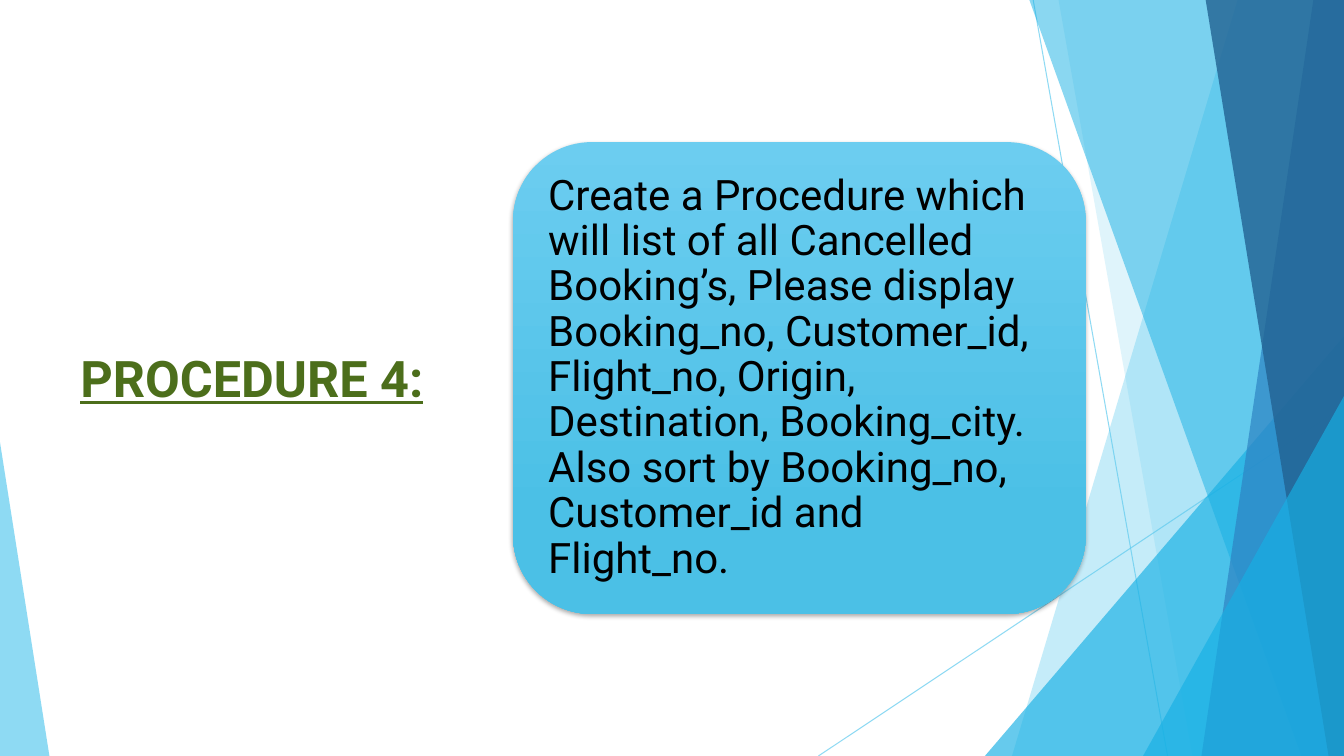
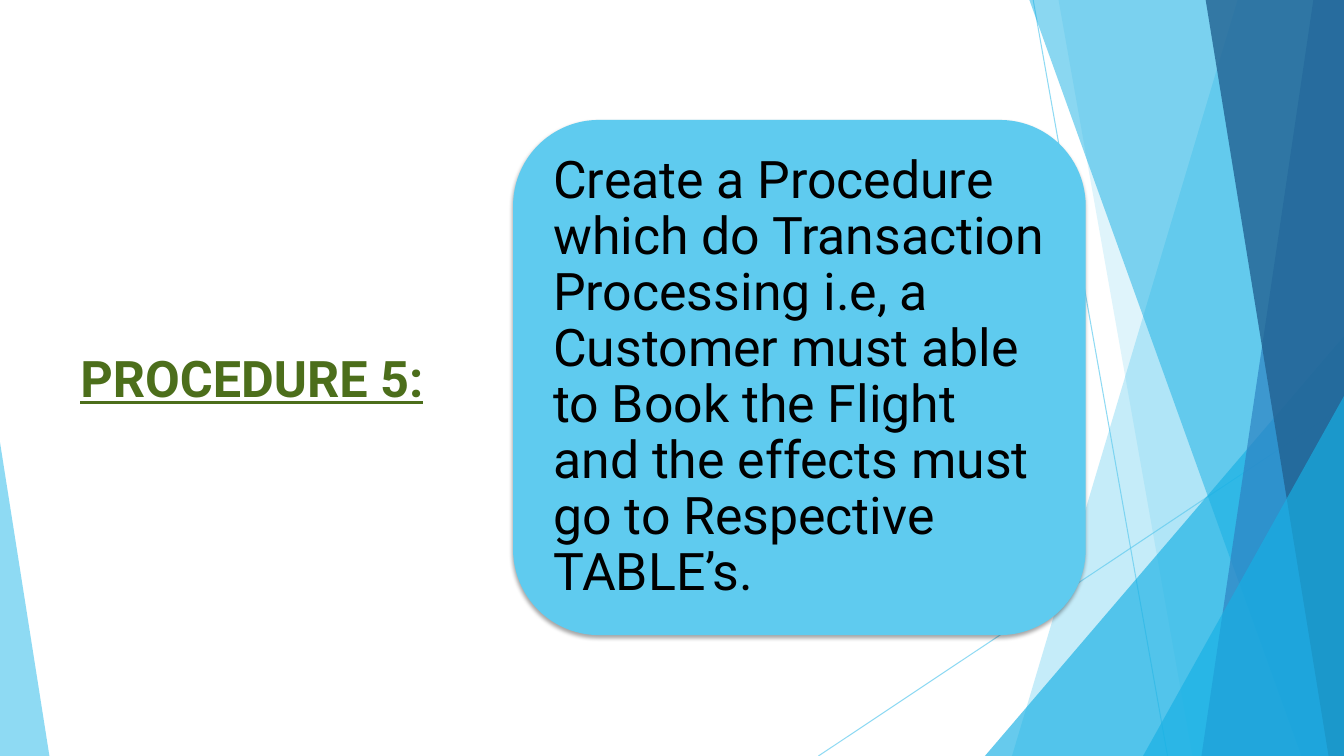
from dataclasses import dataclass

from lxml import etree
from pptx import Presentation
from pptx.dml.color import RGBColor
from pptx.enum.shapes import MSO_CONNECTOR, MSO_SHAPE
from pptx.enum.text import MSO_ANCHOR, PP_ALIGN
from pptx.oxml.ns import qn
from pptx.util import Pt

STRAIGHT = MSO_CONNECTOR.STRAIGHT
TRIANGLE = MSO_SHAPE.ISOSCELES_TRIANGLE
ROUNDED = MSO_SHAPE.ROUNDED_RECTANGLE
MIDDLE = MSO_ANCHOR.MIDDLE
LEFT = PP_ALIGN.LEFT


# Theme
@dataclass(frozen=True)
class Theme:
    sky: str = "5FCBEF"
    azure: str = "17B0E4"
    blue: str = "2E83C3"
    navy: str = "226292"
    card_top: str = "6CCDF0"
    card_bottom: str = "4BC0E6"
    title: str = "4C6E1B"
    body: str = "000000"
    shadow: str = "000000"
    font: str = "Roboto"
    title_size: float = 36
    hairline: float = 0.75


T = Theme()
WIDTH, HEIGHT = 960, 540
BLEED = 0.6  # the sheets start just above the slide


# Repeated elements, all lengths in points
@dataclass(frozen=True)
class Hairline:
    x1: float
    y1: float
    x2: float
    y2: float


@dataclass(frozen=True)
class Sheet:
    """Slanted left edge, reaching to the right edge of the slide."""
    top_x: float
    bottom_x: float
    color: str
    opacity: int


@dataclass(frozen=True)
class Wedge:
    """Right triangle standing on the bottom edge of the slide."""
    left: float
    top: float
    width: float
    apex: float
    color: str
    opacity: int


@dataclass(frozen=True)
class Procedure:
    title: str
    task: str
    size: float
    inset: float
    top: float
    height: float
    gradient: bool


HAIRLINES = [Hairline(738, 0, 834, HEIGHT), Hairline(WIDTH, 290, 584.6, HEIGHT)]
FACETS = [
    Sheet(884.2, 722.9, T.sky, 36),
    Sheet(756, 851.8, T.sky, 20),
    Wedge(703.5, 240, 256.5, 1, T.azure, 66),
    Sheet(735.1, 929.5, T.azure, 50),
    Sheet(938.2, 858.2, T.blue, 70),
    Sheet(861.1, 949, T.navy, 80),
    Wedge(816.5, 283, 143.5, 1, T.azure, 66),
    Wedge(0, 316, 35.3, 0, T.sky, 70),
]
PROCEDURES = [
    Procedure(
        "PROCEDURE 4:",
        "Create a Procedure which will list of all Cancelled Booking’s, Please "
        "display Booking_no, Customer_id, Flight_no, Origin, Destination, "
        "Booking_city. Also sort by Booking_no, Customer_id and Flight_no.",
        size=30, inset=8.64, top=101.5, height=337, gradient=True),
    Procedure(
        "PROCEDURE 5:",
        "Create a Procedure which do Transaction Processing i.e, a Customer "
        "must able to Book the Flight and the effects must go to Respective "
        "TABLE’s.",
        size=37, inset=10.8, top=85.7, height=368, gradient=False),
]


# Formatting helpers
def set_opacity(sp, percent: int) -> None:
    for color in sp.element.spPr.iter(qn("a:srgbClr")):
        etree.SubElement(color, qn("a:alpha"), val=str(percent * 1000))


def paint(sp, color: str, opacity: int) -> None:
    sp.shadow.inherit = False
    sp.fill.solid()
    sp.fill.fore_color.rgb = RGBColor.from_string(color)
    sp.line.fill.background()
    set_opacity(sp, opacity)


def add_soft_shadow(sp) -> None:
    sp.shadow.inherit = False
    effects = sp.element.spPr.find(qn("a:effectLst"))
    shadow = etree.SubElement(
        effects, qn("a:outerShdw"), blurRad=str(Pt(3)), dist=str(Pt(2)),
        dir="5400000", algn="ctr", rotWithShape="0")
    color = etree.SubElement(shadow, qn("a:srgbClr"), val=T.shadow)
    etree.SubElement(color, qn("a:alpha"), val="35000")


def write(sp, text: str, *, size: float, color: str, bold: bool = False,
          underline: bool = False, inset: float | None = None,
          line_spacing: float = 1, space_after: float = 0) -> None:
    tf = sp.text_frame
    tf.word_wrap = True
    tf.vertical_anchor = MIDDLE
    if inset is not None:
        tf.margin_left = tf.margin_right = Pt(inset)
        tf.margin_top = tf.margin_bottom = Pt(inset)
    p = tf.paragraphs[0]
    p.alignment = LEFT
    p.line_spacing = line_spacing
    p.space_after = Pt(space_after)
    r = p.add_run()
    r.text = text
    r.font.name = T.font
    r.font.size = Pt(size)
    r.font.bold = bold
    r.font.underline = underline
    r.font.color.rgb = RGBColor.from_string(color)


# Background
def draw_hairline(s, line: Hairline) -> None:
    cx = s.shapes.add_connector(
        STRAIGHT, Pt(line.x1), Pt(line.y1), Pt(line.x2), Pt(line.y2))
    cx.line.width = Pt(T.hairline)
    cx.line.color.rgb = RGBColor.from_string(T.sky)
    set_opacity(cx, 70)
    etree.SubElement(cx.element.spPr, qn("a:effectLst"))


def draw_sheet(s, sheet: Sheet) -> None:
    outline = s.shapes.build_freeform(Pt(sheet.top_x), Pt(-BLEED))
    outline.add_line_segments([
        (Pt(WIDTH), Pt(-BLEED)),
        (Pt(WIDTH), Pt(HEIGHT)),
        (Pt(sheet.bottom_x), Pt(HEIGHT)),
    ], close=True)
    paint(outline.convert_to_shape(), sheet.color, sheet.opacity)


def draw_wedge(s, wedge: Wedge) -> None:
    sp = s.shapes.add_shape(
        TRIANGLE, Pt(wedge.left), Pt(wedge.top),
        Pt(wedge.width), Pt(HEIGHT - wedge.top))
    sp.adjustments[0] = wedge.apex
    paint(sp, wedge.color, wedge.opacity)


def draw_background(s) -> None:
    for line in HAIRLINES:
        draw_hairline(s, line)
    for facet in FACETS:
        if isinstance(facet, Sheet):
            draw_sheet(s, facet)
        else:
            draw_wedge(s, facet)


# Content
def draw_title(s, text: str) -> None:
    tb = s.shapes.add_textbox(Pt(50.4), Pt(64), Pt(265), Pt(411))
    write(tb, text, size=T.title_size, color=T.title, bold=True, underline=True)


def draw_card(s, proc: Procedure) -> None:
    sp = s.shapes.add_shape(
        ROUNDED, Pt(366.5), Pt(proc.top), Pt(409), Pt(proc.height))
    if proc.gradient:
        sp.fill.gradient()
        sp.fill.gradient_angle = 270
        stops = [(0, T.card_top), (0.78, T.card_bottom)]
        for stop, (position, color) in zip(sp.fill.gradient_stops, stops):
            stop.position = position
            stop.color.rgb = RGBColor.from_string(color)
    else:
        sp.fill.solid()
        sp.fill.fore_color.rgb = RGBColor.from_string(T.sky)
    sp.line.fill.background()
    add_soft_shadow(sp)
    write(sp, proc.task, size=proc.size, color=T.body, inset=proc.inset,
          line_spacing=0.9, space_after=round(0.35 * proc.size, 1))


def main() -> None:
    prs = Presentation()
    prs.slide_width, prs.slide_height = Pt(WIDTH), Pt(HEIGHT)
    blank = prs.slide_layouts[6]
    for proc in PROCEDURES:
        s = prs.slides.add_slide(blank)
        draw_background(s)
        draw_title(s, proc.title)
        draw_card(s, proc)
    prs.save("out.pptx")


if __name__ == "__main__":
    main()
